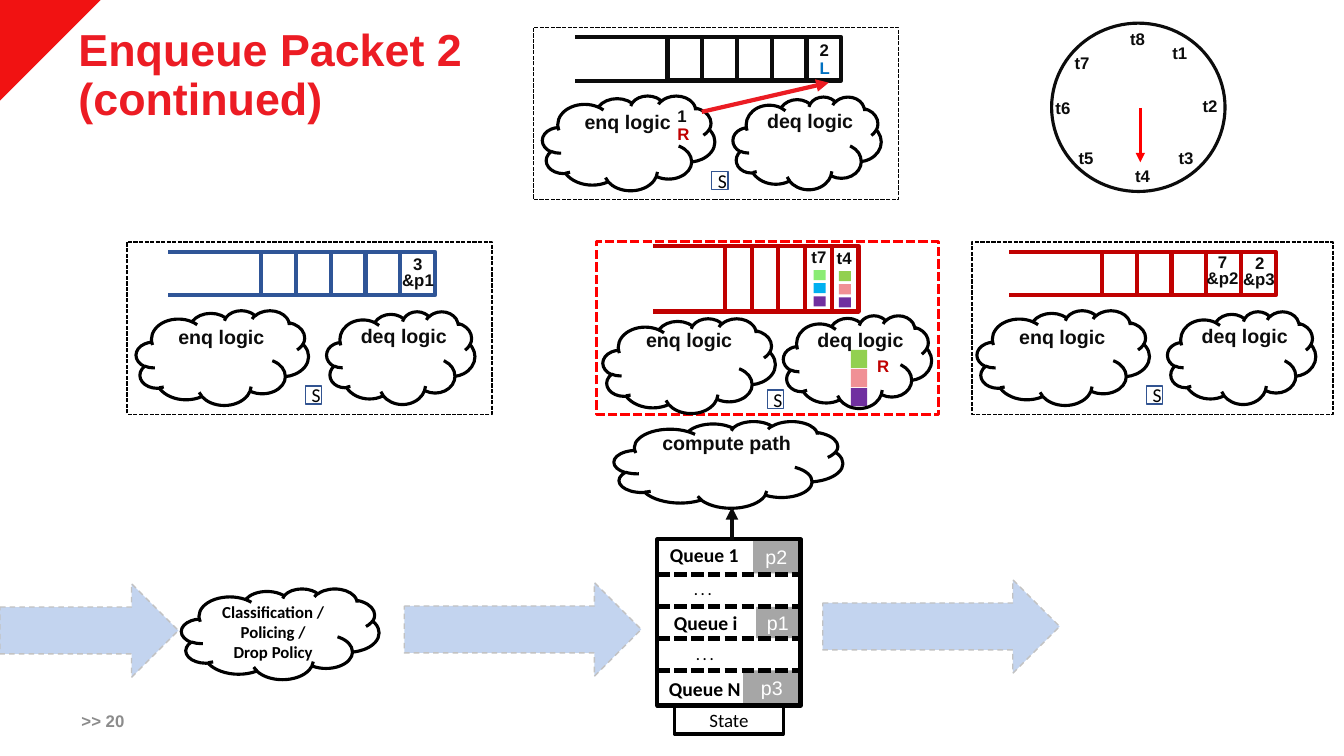
"""Build the slide on enqueueing packet 2 through a set of packet schedulers."""
from lxml import etree
from pptx import Presentation
from pptx.dml.color import RGBColor
from pptx.enum.dml import MSO_LINE
from pptx.enum.shapes import MSO_CONNECTOR, MSO_SHAPE
from pptx.enum.text import MSO_ANCHOR, MSO_AUTO_SIZE, PP_ALIGN
from pptx.oxml.ns import qn
from pptx.util import Inches, Pt

RECT, CLOUD, OVAL, BLOCK_ARROW = (
    MSO_SHAPE.RECTANGLE, MSO_SHAPE.CLOUD, MSO_SHAPE.OVAL, MSO_SHAPE.RIGHT_ARROW)
STRAIGHT = MSO_CONNECTOR.STRAIGHT
FINE_DASH, DASH = MSO_LINE.SQUARE_DOT, MSO_LINE.DASH
LEFT, CENTER = PP_ALIGN.LEFT, PP_ALIGN.CENTER
TOP, MIDDLE = MSO_ANCHOR.TOP, MSO_ANCHOR.MIDDLE

COLORS = {
    "black": "000000", "ink": "0C0C0C", "white": "FFFFFF", "grey": "8C8C8C",
    "tag": "A6A6A6", "corner": "F11212", "title": "EC1C24", "move": "EB1C23",
    "red": "FF0000", "dark red": "C00000", "blue": "2F5597", "state": "325491",
    "link": "0070C0", "flow": "C3D4EF", "flow edge": "C2C2C2", "green": "92D050",
    "lime": "8AEC74", "pink": "F09095", "sky": "00B0F0", "purple": "7030A0",
}

SLIDE_W, SLIDE_H = 13.33, 7.5
CORNER = 0.71
ENQ_SIZE, DEQ_SIZE, STATE_SIZE = (1.71, 0.94), (1.47, 0.92), (0.16, 0.18)
LOGIC_LABEL_W = 1.06
LANE_CELLS = 5

WIDE = {"enq": (0.09, 0.68), "deq": (1.98, 0.69), "state": (1.77, 1.43),
        "enq logic": (0.41, 0.77), "deq logic": (2.22, 0.76),
        "lane": (0.41, 0.1), "lead": 0.92, "cell": (0.345, 0.43)}
TALL = {"enq": (0.06, 0.76), "deq": (1.85, 0.73), "state": (1.69, 1.47),
        "enq logic": (0.39, 0.8), "deq logic": (2.09, 0.8),
        "lane": (0.56, 0.04), "lead": 0.71, "cell": (0.265, 0.65)}
STATIONS = [
    (1.26, 2.4, WIDE, "blue", (1.26, 3.62), ("black", 1, FINE_DASH)),
    (5.29, 0.27, WIDE, "ink", (5.29, 3.62), ("black", 1, FINE_DASH)),
    (9.6, 2.4, WIDE, "dark red", (9.64, 3.58), ("black", 1, FINE_DASH)),
    (5.92, 2.4, TALL, "dark red", (5.92, 3.39), ("red", 2.25, FINE_DASH)),
]
STATION_H = 1.71

PACKET_LABELS = [
    ("&p1", 3.89, 2.63, 0.52, "ink"), ("3", 4, 2.47, 0.29, "ink"),
    ("&p3", 12.23, 2.62, 0.52, "ink"), ("2", 12.35, 2.46, 0.29, "ink"),
    ("&p2", 11.87, 2.61, 0.52, "ink"), ("7", 11.98, 2.45, 0.29, "ink"),
    ("t4", 8.2, 2.41, 0.35, "ink"), ("t7", 7.95, 2.4, 0.35, "ink"),
    ("L", 8.03, 0.52, 0.31, "link"), ("2", 8.03, 0.35, 0.29, "ink"),
    ("R", 8.6, 3.48, 0.32, "dark red"),
    ("R", 6.62, 1.18, 0.32, "dark red"), ("1", 6.62, 1, 0.29, "ink"),
]
CHIP_STACKS = [
    (8.32, 2.69, 0.12, 0.1, 0.13, ["green", "pink", "purple"]),
    (8.07, 2.68, 0.12, 0.1, 0.13, ["lime", "sky", "purple"]),
    (8.44, 3.47, 0.16, 0.18, 0.19, ["green", "pink", "purple"]),
]
CLOCK = (10.43, 0.23, 1.72, 1.67)
CLOCK_TIMES = [(11.53, 0.37), (11.83, 0.9), (11.59, 1.42), (11.16, 1.6),
               (10.6, 1.42), (10.37, 0.92), (10.56, 0.47), (11.11, 0.24)]
FLOWS = [(0, 5.79, 1.77), (4.01, 5.78, 2.35), (8.16, 5.75, 2.35)]
QUEUES = (6.52, 5.35, 1.42, 1.65)
DIVIDER_TOP, DIVIDER_STEP, DIVIDERS = 5.7, 0.317, 4
QUEUE_TAGS = [("p1", 7.5, 6.02, 0.43, 0.31), ("p3", 7.37, 6.65, 0.57, 0.34),
              ("p2", 7.47, 5.35, 0.46, 0.34)]
QUEUE_LABELS = [
    ("Queue 1", 6.54, 5.34, 0.89, 14), ("Queue i", 6.58, 6.01, 0.84, 14),
    ("Queue N", 6.53, 6.67, 0.92, 14),
    (". . .", 6.78, 5.72, 0.38, 10), (". . .", 6.8, 6.36, 0.38, 10),
]
LABEL_H = {10: 0.27, 12: 0.3, 14: 0.34}
ARROWS = [(7.26, 5.36, 7.26, 5.03, "ink", 3), (6.96, 1.11, 8.22, 0.82, "move", 3),
          (11.31, 1.07, 11.31, 1.61, "red", 2.25)]


def rgb(name):
    return RGBColor.from_string(COLORS[name])


def style_line(line, color, width, dash=None):
    line.color.rgb = rgb(color)
    line.width = Pt(width)
    if dash is not None:
        line.dash_style = dash


def write(frame, lines, size, color="ink", font="Arial", bold=True,
          align=LEFT, anchor=TOP, spacing=None):
    frame.vertical_anchor = anchor
    look = {"name": font, "size": Pt(size), "bold": bold}
    for index, line in enumerate(lines):
        paragraph = frame.add_paragraph() if index else frame.paragraphs[0]
        paragraph.alignment, paragraph.line_spacing = align, spacing
        run = paragraph.add_run()
        run.text = line
        for key, value in look.items():
            setattr(run.font, key, value)
        run.font.color.rgb = rgb(color)


def paint(shape, fill, line):
    shape.shadow.inherit = False
    if fill:
        shape.fill.solid()
        shape.fill.fore_color.rgb = rgb(fill)
    else:
        shape.fill.background()
    if line:
        style_line(shape.line, *line)
    else:
        shape.line.fill.background()


def draw(slide, kind, box, fill=None, line=None):
    shape = slide.shapes.add_shape(kind, *map(Inches, box))
    paint(shape, fill, line)
    return shape


def label(slide, text, box, size, wrap=False, **look):
    frame = slide.shapes.add_textbox(*map(Inches, box)).text_frame
    frame.word_wrap = wrap
    frame.auto_size = MSO_AUTO_SIZE.NONE if wrap else MSO_AUTO_SIZE.SHAPE_TO_FIT_TEXT
    write(frame, [text], size, **look)


def connect(slide, ends, color, width, dash=None, arrow=False):
    link = slide.shapes.add_connector(STRAIGHT, *map(Inches, ends))
    style_line(link.line, color, width, dash)
    if arrow:
        etree.SubElement(link.line._get_or_add_ln(), qn("a:tailEnd"), type="triangle")
    etree.SubElement(link._element.spPr, qn("a:effectLst"))


def draw_station(slide, x, y, plan, color, span, border):
    def at(part, size):
        return (x + plan[part][0], y + plan[part][1], *size)

    draw(slide, RECT, (span[0], y, span[1], STATION_H), line=border)
    for part, size in (("enq", ENQ_SIZE), ("deq", DEQ_SIZE)):
        draw(slide, CLOUD, at(part, size), line=("black", 2.25))
        name = f"{part} logic"
        label(slide, name, at(name, (LOGIC_LABEL_W, LABEL_H[14])), 14)
    cell_w, cell_h = plan["cell"]
    lane_x, lane_y = at("lane", ())
    cells_x = lane_x + plan["lead"]
    for index in range(LANE_CELLS):
        draw(slide, RECT, (cells_x + index * cell_w, lane_y, cell_w, cell_h),
             line=(color, 3))
    for rail_y in (lane_y, lane_y + cell_h):
        connect(slide, (cells_x, rail_y, lane_x, rail_y), color, 3)
    state = draw(slide, RECT, at("state", STATE_SIZE), line=("state", 1))
    write(state.text_frame, ["S"], 14, "black", "Calibri", False, CENTER, MIDDLE)


def draw_queues(slide):
    for name, *box in QUEUE_TAGS:
        tag = draw(slide, RECT, box, "tag")
        write(tag.text_frame, [name], 14, "white", bold=False, align=CENTER, anchor=MIDDLE)
    draw(slide, RECT, QUEUES, line=("black", 3))
    x, width = QUEUES[0], QUEUES[2]
    for index in range(DIVIDERS):
        y = DIVIDER_TOP + index * DIVIDER_STEP
        connect(slide, (x, y, x + width, y), "black", 3, FINE_DASH)
    for text, left, top, wide, size in QUEUE_LABELS:
        label(slide, text, (left, top, wide, LABEL_H[size]), size,
              color="black", font="Calibri", align=CENTER)
    state = draw(slide, RECT, (6.69, 7, 1.08, 0.28), line=("black", 2.5))
    write(state.text_frame, ["State"], 13.5, "black", "Calibri", False, CENTER, MIDDLE)


def main():
    deck = Presentation()
    deck.slide_width, deck.slide_height = Inches(SLIDE_W), Inches(SLIDE_H)
    slide = deck.slides.add_slide(deck.slide_layouts[6])

    outline = slide.shapes.build_freeform(0, 0, scale=Inches(1))
    outline.add_line_segments([(CORNER, 0), (0, CORNER)], close=True)
    paint(outline.convert_to_shape(), "corner", None)
    label(slide, "Enqueue Packet 2 (continued)", (0.68, 0.23, 4.13, 0.55), 32,
          wrap=True, color="title", spacing=0.9)
    label(slide, ">> 20", (0.71, 6.95, 0.99, 0.4), 12, wrap=True, color="grey",
          anchor=MIDDLE)

    for x, y, width in FLOWS:
        draw(slide, BLOCK_ARROW, (x, y, width, 0.93), "flow", ("flow edge", 1, DASH))
    policy = draw(slide, CLOUD, (1.8, 5.84, 1.96, 0.9), line=("black", 2.25))
    write(policy.text_frame, ["Classification / Policing /", "Drop Policy"], 12,
          "black", "Calibri", align=CENTER, anchor=MIDDLE)
    draw_queues(slide)
    draw(slide, CLOUD, (6.09, 4.18, 2.27, 0.86), line=("black", 2.25))
    label(slide, "compute path", (6.47, 4.23, 1.48, LABEL_H[14]), 14)

    for x, y, width, height, step, chips in CHIP_STACKS:
        for index, chip in enumerate(chips):
            draw(slide, RECT, (x, y + index * step, width, height), chip)
    for station in STATIONS:
        draw_station(slide, *station)
    for text, x, y, width, color in PACKET_LABELS:
        label(slide, text, (x, y, width, LABEL_H[12]), 12, color=color)

    draw(slide, OVAL, CLOCK, line=("ink", 2.25))
    for hour, (x, y) in enumerate(CLOCK_TIMES, 1):
        label(slide, f"t{hour}", (x, y, 0.38, LABEL_H[12]), 12)
    for *ends, color, width in ARROWS:
        connect(slide, ends, color, width, arrow=True)
    deck.save("out.pptx")


if __name__ == "__main__":
    main()
